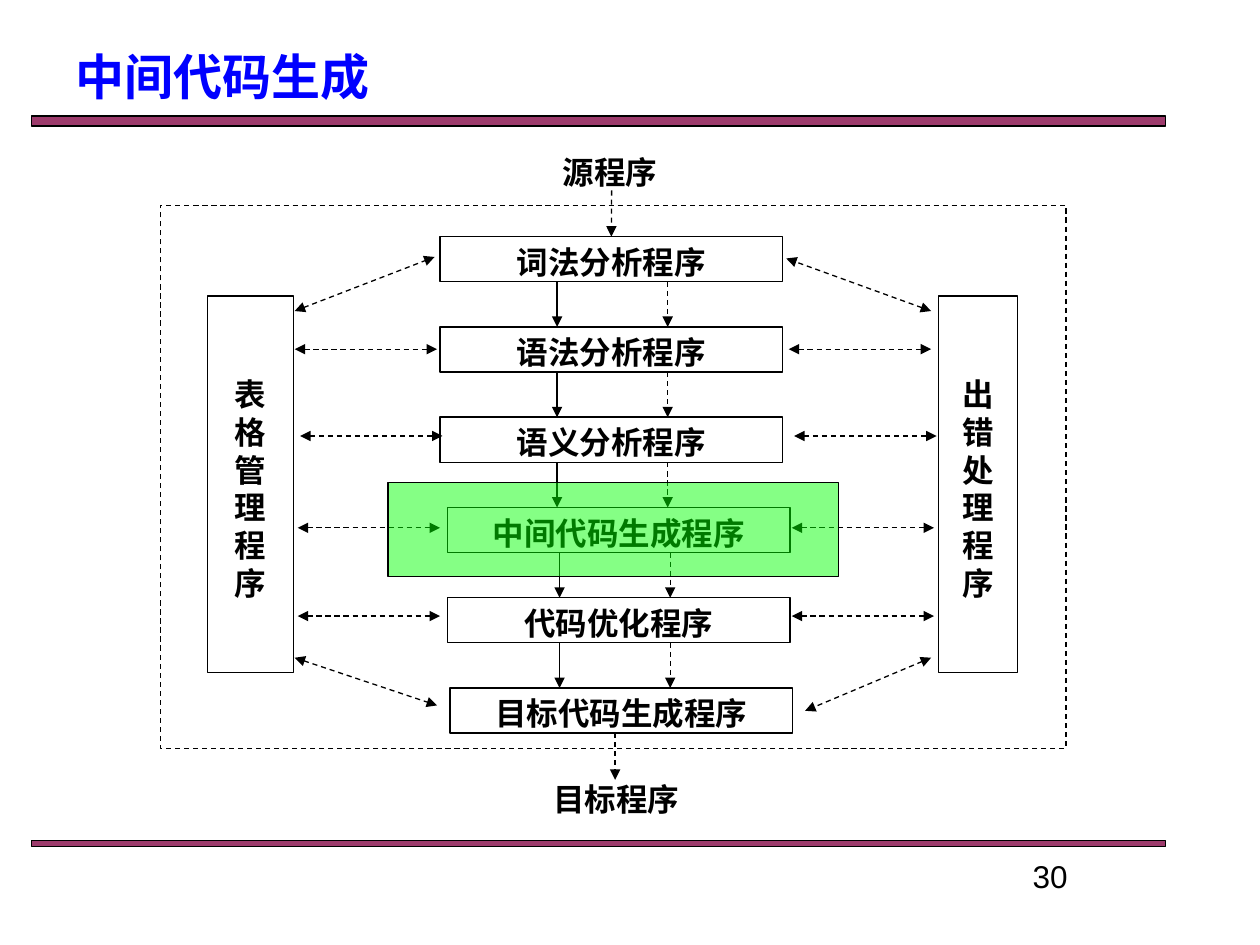
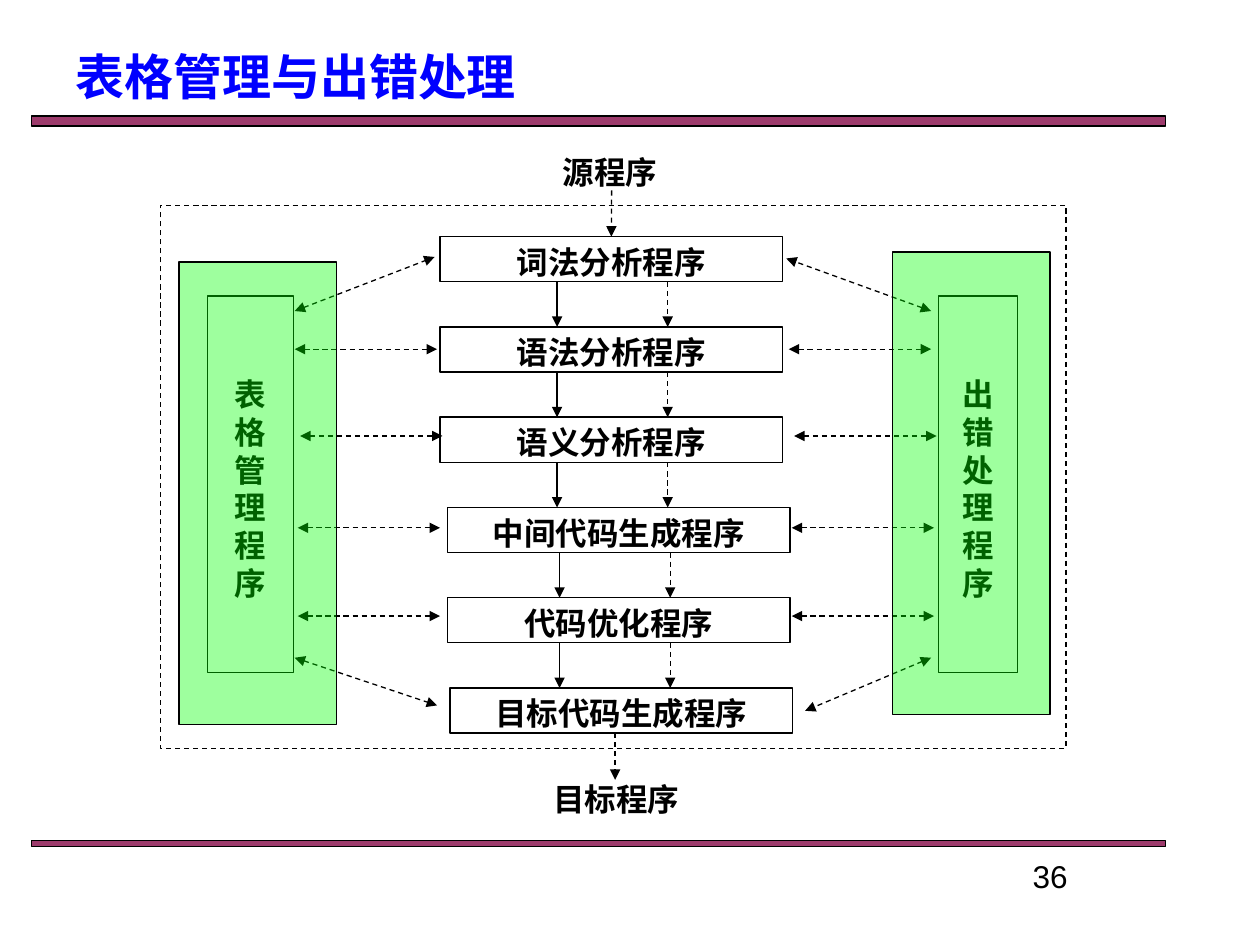
from lxml.etree import SubElement
from pptx import Presentation
from pptx.dml.color import RGBColor
from pptx.enum.dml import MSO_LINE
from pptx.enum.shapes import MSO_CONNECTOR, MSO_SHAPE
from pptx.enum.text import MSO_ANCHOR, MSO_AUTO_SIZE, PP_ALIGN
from pptx.oxml.ns import qn
from pptx.util import Cm, Pt

BLACK, WHITE, BLUE = "000000", "FFFFFF", "0000FF"
PLUM, GREEN = "993366", "00FF00"
SERIF, SANS, HAN = "Times New Roman", "Arial", "Noto Sans CJK SC"

FRAME = (3.23, 4.14, 18.26, 10.95)
STEPS = ["词法分析程序", "语法分析程序", "语义分析程序",
         "中间代码生成程序", "代码优化程序", "目标代码生成程序"]
LEFTS = [5.64, 5.64, 5.64, 5.79, 5.79, 5.84]
STEP_W, STEP_H, STEP_TOP, PITCH = 6.91, 0.91, 0.63, 1.82
# Left end and height of each level arrow beside the steps
ROWS = [(2.71, 2.9), (2.82, 4.65), (2.77, 6.5), (2.77, 8.28)]
ROW_W, ROW_SHIFT = 2.87, 9.96
SLANTS = [(2.71, 2.13, 5.53, 1.04), (2.71, 9.12, 5.58, 10.08),
          (15.54, 2.13, 12.62, 1.07), (15.54, 9.12, 13, 10.19)]


def color(text):
    return RGBColor.from_string(text)


def place(box):
    return [Cm(value) for value in box]


def shift(box, x, y, w, h):
    """Turn a place inside box into a place on the slide."""
    return box[0] + x, box[1] + y, w, h


def write(shape, text, size=18, font=SERIF, tint=BLACK, bold=True,
          align=PP_ALIGN.CENTER):
    frame = shape.text_frame
    frame.text = text
    frame.word_wrap = True
    frame.auto_size = MSO_AUTO_SIZE.NONE
    frame.vertical_anchor = MSO_ANCHOR.TOP
    para = frame.paragraphs[0]
    para.alignment = align
    face = para.runs[0].font
    face.name, face.size, face.bold = font, Pt(size), bold
    face.color.rgb = color(tint)
    return frame


def label(slide, box, text, **style):
    return write(slide.shapes.add_textbox(*place(box)), text, **style)


def rect(slide, box, fill=None, alpha=100):
    shape = slide.shapes.add_shape(MSO_SHAPE.RECTANGLE, *place(box))
    shape.shadow.inherit = False
    shape.line.color.rgb = color(BLACK)
    shape.line.width = Pt(0.75)
    if fill is None:
        shape.fill.background()
        return shape
    shape.fill.solid()
    shape.fill.fore_color.rgb = color(fill)
    if alpha < 100:
        tone = shape.fill._xPr.find(".//" + qn("a:srgbClr"))
        SubElement(tone, qn("a:alpha"), val=str(alpha * 1000))
    return shape


def arrow(slide, box, x1, y1, x2, y2, dash=True, both=False):
    """Draw an arrow whose ends are given relative to box."""
    ends = place((box[0] + x1, box[1] + y1, box[0] + x2, box[1] + y2))
    link = slide.shapes.add_connector(MSO_CONNECTOR.STRAIGHT, *ends)
    link.line.color.rgb = color(BLACK)
    link.line.width = Pt(0.75)
    if dash:
        link.line.dash_style = MSO_LINE.DASH
    edge = link.line._get_or_add_ln()
    if both:
        SubElement(edge, qn("a:headEnd"), type="triangle")
    SubElement(edge, qn("a:tailEnd"), type="triangle")
    SubElement(link._element.spPr, qn("a:effectLst"))
    return link


def bar(slide, box, text):
    """Draw a narrow bar in which the text wraps after each character."""
    frame = write(rect(slide, box, WHITE), text)
    frame.margin_top = Cm(1.59)


def flow(slide, box):
    """Draw the chain of steps with its input and output."""
    label(slide, shift(box, 5.61, -1.17, STEP_W, STEP_H), "源程序")
    label(slide, shift(box, 5.74, 11.46, STEP_W, STEP_H), "目标程序")
    tops = [STEP_TOP + PITCH * n for n in range(len(STEPS))]
    steps = []
    for text, left, top in zip(STEPS, LEFTS, tops):
        step = rect(slide, shift(box, left, top, STEP_W, STEP_H), WHITE)
        write(step, text)
        steps.append(step)
    for n, top in enumerate(tops[1:]):
        nudge = 0.05 if n > 2 else 0
        for x, dash in ((8, False), (10.23, True)):
            arrow(slide, box, x + nudge, top - PITCH + STEP_H,
                  x + nudge, top, dash)
    entry = arrow(slide, box, 9.1, -0.3, 9.1, STEP_TOP)
    entry.end_connect(steps[0], 0)
    arrow(slide, box, 9.17, tops[-1] + STEP_H, 9.17, 11.58)


def sides(slide, box):
    """Draw both side bars and the arrows that tie them to the steps."""
    bar(slide, shift(box, 0.96, 1.83, 1.73, 7.59), "表格管理程序")
    bar(slide, shift(box, 15.69, 1.83, 1.6, 7.59), "出错处理程序")
    for x, y in ROWS:
        for left in (x, x + ROW_SHIFT):
            arrow(slide, box, left, y, left + ROW_W, y, both=True)
    for ends in SLANTS:
        arrow(slide, box, *ends, both=True)


def base(deck, title, number):
    """Add a slide with its title, bands and number."""
    slide = deck.slides.add_slide(deck.slide_layouts[5])
    for top, height in ((2.34, 0.2), (16.94, 0.13)):
        rect(slide, (0.64, top, 22.86, height), PLUM, 96)
    head = slide.shapes.title
    head.left, head.top, head.width, head.height = place(
        (1.27, 1.07, 22.86, 0.94))
    frame = write(head, title, 28, HAN, BLUE, align=PP_ALIGN.LEFT)
    frame.vertical_anchor = MSO_ANCHOR.MIDDLE
    label(slide, (18.21, 17.15, 5.92, 1.07), number, font=SANS, bold=False)
    return slide


def chart(deck, title, number, marks, alpha):
    """Add a slide with the compiler diagram and its green marks."""
    slide = base(deck, title, number)
    flow(slide, FRAME)
    sides(slide, FRAME)
    rect(slide, FRAME).line.dash_style = MSO_LINE.DASH
    for mark in marks:
        rect(slide, shift(FRAME, *mark), GREEN, alpha)


def main():
    deck = Presentation()
    deck.slide_width, deck.slide_height = Cm(25.4), Cm(19.05)
    chart(deck, "中间代码生成", "30", [(4.59, 5.59, 9.09, 1.9)], 48)
    chart(deck, "表格管理与出错处理", "36",
          [(0.38, 1.14, 3.18, 9.32), (14.76, 0.94, 3.18, 9.32)], 38)
    deck.save("out.pptx")


if __name__ == "__main__":
    main()
